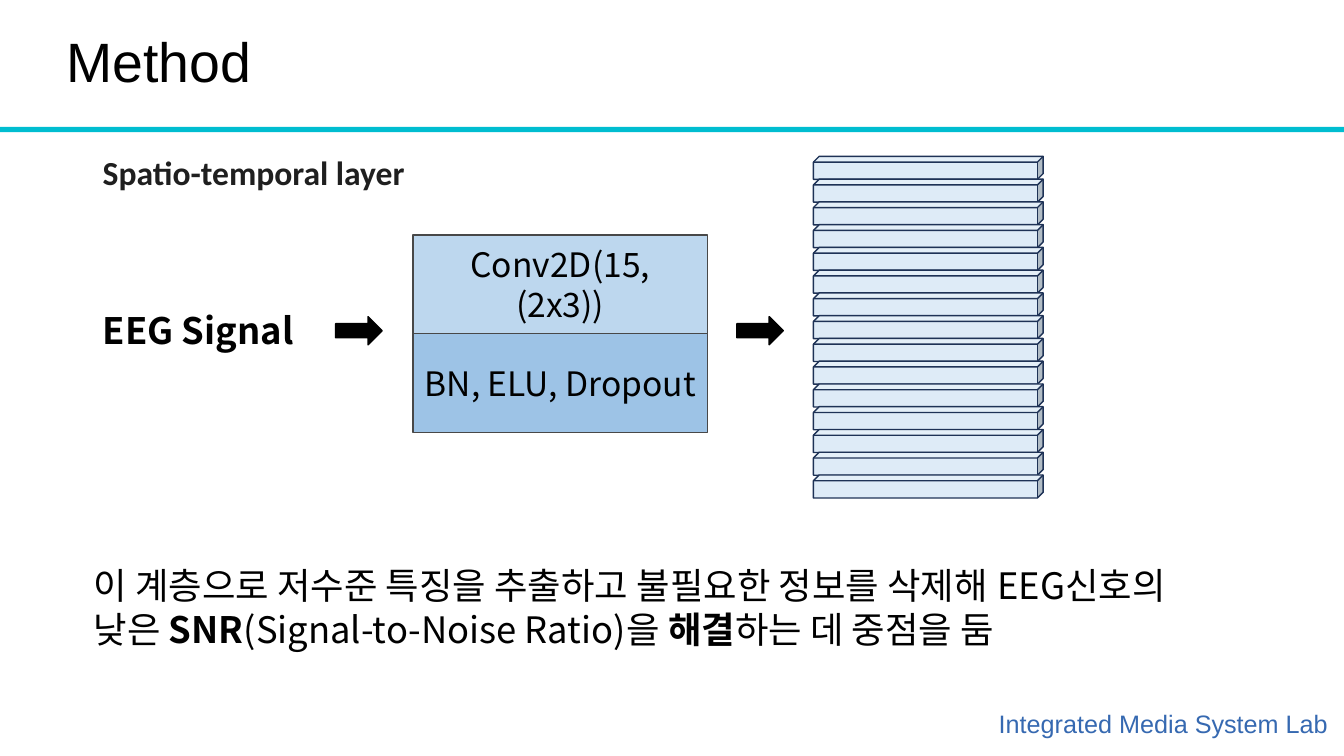
from lxml import etree
from pptx import Presentation
from pptx.dml.color import RGBColor
from pptx.enum.shapes import MSO_SHAPE
from pptx.enum.text import MSO_ANCHOR, PP_ALIGN
from pptx.oxml.ns import qn
from pptx.util import Cm, Pt

RECTANGLE = MSO_SHAPE.RECTANGLE
ARROW = MSO_SHAPE.RIGHT_ARROW
CUBE = MSO_SHAPE.CUBE
MIDDLE = MSO_ANCHOR.MIDDLE
TOP = MSO_ANCHOR.TOP
CENTER = PP_ALIGN.CENTER
LEFT = PP_ALIGN.LEFT

KOREAN_FONT = "Noto Sans CJK KR"
BLACK = "000000"
LAYER_COUNT = 15


def color(value):
    """Turn a hex string into a colour."""
    return RGBColor.from_string(value)


def add_span(para, text, name, size, ink=BLACK, bold=False):
    """Add a formatted run to a paragraph."""
    span = para.add_run()
    span.text = text
    for key, value in {"name": name, "size": Pt(size), "bold": bold}.items():
        setattr(span.font, key, value)
    span.font.color.rgb = color(ink)
    east_asian = etree.SubElement(span.font._element, qn("a:ea"))
    east_asian.set("typeface", name)


def add_label(page, box, text, name, size, ink=BLACK, bold=False, anchor=TOP):
    """Add a text box and return its paragraph."""
    frame = page.shapes.add_textbox(*map(Cm, box)).text_frame
    for key, value in {"word_wrap": True, "vertical_anchor": anchor}.items():
        setattr(frame, key, value)
    para = frame.paragraphs[0]
    para.alignment = LEFT
    if text:
        add_span(para, text, name, size, ink, bold)
    return para


def add_block(page, kind, box, fill, line=None):
    """Add a filled preset shape with an optional outline."""
    block = page.shapes.add_shape(kind, *map(Cm, box))
    block.shadow.inherit = False
    block.fill.solid()
    block.fill.fore_color.rgb = color(fill)
    if line:
        block.line.color.rgb = color(line)
        block.line.width = Pt(1)
    else:
        block.line.fill.background()
    return block


def add_page_frame(page, width):
    """Add the lab name, the title rule and the title."""
    add_label(page, (24.92, 17.73, 9.27, 1.02), "Integrated Media System Lab",
              "Arial", 18, "3669B1")
    add_block(page, RECTANGLE, (0, 3.2, width, 0.13), "00BDD0")
    title = add_label(page, (1.42, 0.76, 29.21, 1.73), "Method", "Arial", 39.6, anchor=MIDDLE)
    title.line_spacing = 0.9


def add_operations(page, box):
    """Stack the two operation blocks inside the box."""
    left, top, width, height = box
    operations = [("Conv2D(15, (2x3))", "BDD7EE"), ("BN, ELU, Dropout", "9DC3E6")]
    step = height / len(operations)
    for index, (text, fill) in enumerate(operations):
        block = add_block(page, RECTANGLE, (left, top + index * step, width, step), fill, "484848")
        frame = block.text_frame
        for key, value in {"word_wrap": True, "vertical_anchor": MIDDLE}.items():
            setattr(frame, key, value)
        para = frame.paragraphs[0]
        para.alignment = CENTER
        add_span(para, text, KOREAN_FONT, 24)


def add_feature_maps(page, box):
    """Stack the feature map slabs evenly inside the box."""
    left, top, width, height = box
    slab = 0.58
    step = (height - slab) / (LAYER_COUNT - 1)
    for index in range(LAYER_COUNT):
        add_block(page, CUBE, (left, top + index * step, width, slab), "DEEBF7", "1E3256")


def add_diagram(page, box):
    """Draw the flow from the signal to the feature maps."""
    left, top, width, height = box
    add_label(page, (left, top - 0.23, 11.63, 1.27), "Spatio-temporal layer",
              "Calibri", 24, "1F1F1F", True)
    add_label(page, (left, top + 3.71, 5.41, 1.37), "EEG Signal", KOREAN_FONT, 26, bold=True)
    add_operations(page, (left + 8.07, top + 1.98, 7.42, 4.98))
    for offset in (6.12, 16.23):
        add_block(page, ARROW, (left + offset, top + 4.04, 1.17, 0.71), BLACK, BLACK)
    maps_width = 5.79
    add_feature_maps(page, (left + width - maps_width, top, maps_width, height))


def add_summary(page, box):
    """Add the closing sentence with its bold terms."""
    para = add_label(page, box, "이 계층으로 저수준 특징을 추출하고 불필요한 정보를 삭제해 EEG신호의",
                     KOREAN_FONT, 26)
    para.add_line_break()
    spans = [("낮은 ", False), ("SNR", True), ("(Signal-to-Noise Ratio)을", False),
             (" 해결", True), ("하는 데 중점을 둠", False)]
    for text, bold in spans:
        add_span(para, text, KOREAN_FONT, 26, bold=bold)


def main():
    """Build and save the deck."""
    deck = Presentation()
    width = 33.87
    deck.slide_width, deck.slide_height = Cm(width), Cm(19.05)
    page = deck.slides.add_slide(deck.slide_layouts[6])
    add_page_frame(page, width)
    add_diagram(page, (2.34, 3.94, 23.95, 8.61))
    add_summary(page, (2.11, 14.07, 30.61, 2.49))
    deck.save("out.pptx")


if __name__ == "__main__":
    main()
